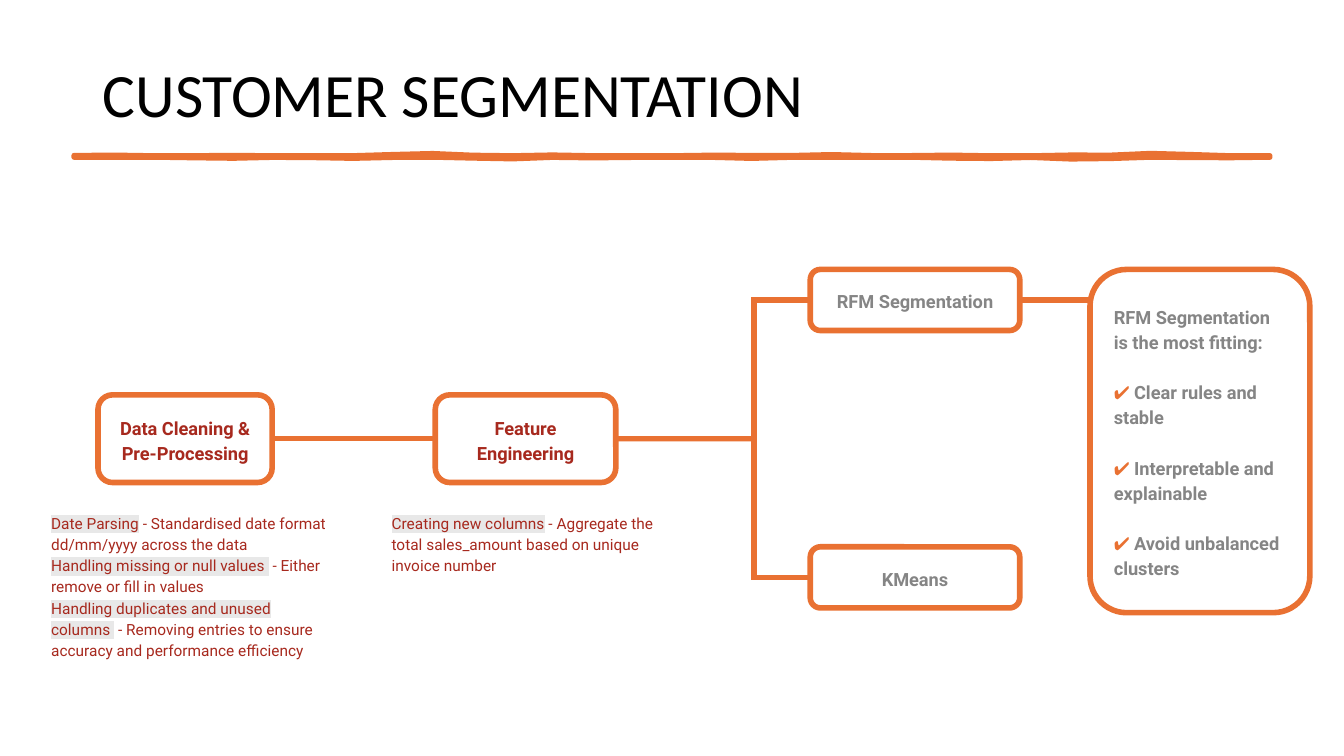
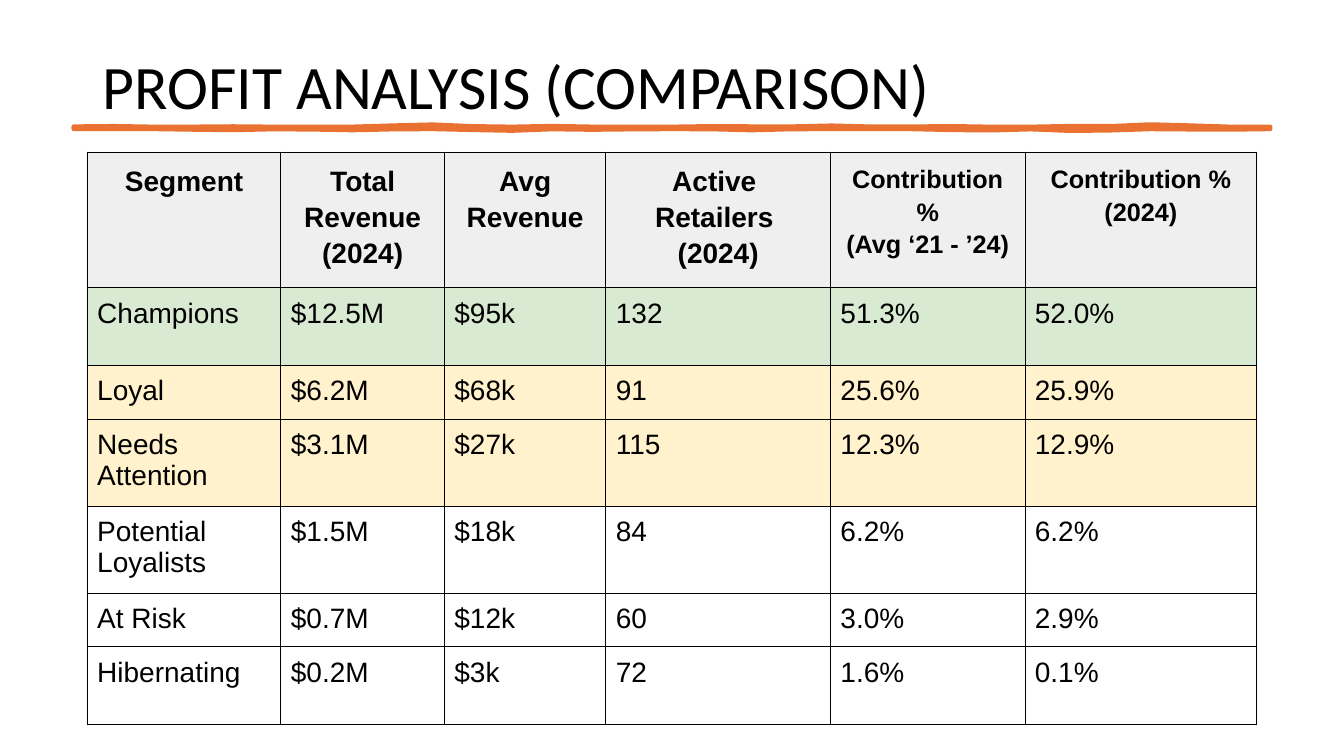
from math import exp
from lxml.etree import SubElement, Element
from pptx import Presentation
from pptx.dml.color import RGBColor
from pptx.enum.shapes import MSO_CONNECTOR, MSO_SHAPE
from pptx.enum.text import MSO_ANCHOR, PP_ALIGN
from pptx.oxml.ns import qn
from pptx.util import Cm, Pt

HEX = {
    "accent": "E97132", "ink": "000000", "red": "A7291E", "grey": "858585",
    "mark": "E8E8E8", "head": "EFEFEF", "green": "D9EAD3", "yellow": "FFF2CC",
}
PAD = 0.33

# Swells of the brush line: centre, spread, height (cm)
TOP = [(2.6, 0.7, -0.02), (5.8, 0.7, -0.01), (10.7, 1.0, -0.06),
       (14, 0.6, -0.02), (18.3, 0.7, -0.02), (20.9, 0.8, -0.03),
       (23.7, 0.6, -0.02), (27.4, 0.6, -0.03), (29.3, 0.8, -0.07)]
BASE = [(5.6, 0.9, 0.03), (8.8, 0.9, 0.03), (12.6, 0.8, 0.05),
        (15.2, 0.7, 0.02), (18.9, 0.7, 0.03), (24.6, 0.9, 0.04),
        (27.4, 0.8, 0.06), (30.6, 0.7, 0.02)]

HEADS = ("Segment", "Total Revenue\n(2024)", "Avg Revenue",
         "Active \vRetailers \n(2024)", "Contribution %\n(Avg ‘21 - ’24)",
         "Contribution % (2024)")
PLAIN = [
    ("Champions", "$12.5M", "$95k", "132", "51.3%", "52.0%"),
    ("Loyal", "$6.2M", "$68k", "91", "25.6%", "25.9%"),
    ("Needs Attention", "$3.1M", "$27k", "115", "12.3%", "12.9%"),
    ("Potential Loyalists", "$1.5M", "$18k", "84", "6.2%", "6.2%"),
    ("At Risk", "$0.7M", "$12k", "60", "3.0%", "2.9%"),
    ("Hibernating", "$0.2M", "$3k", "72", "1.6%", "0.1%"),
]
FILLS = ("head", "green", "yellow", "yellow", None, None, None)
WIDTHS = (4.88, 4.12, 4.07, 5.66, 4.9, 5.84)
HEIGHTS = (3.05, 1.96, 1.19, 1.96, 1.96, 1.19, 1.96)


def tint(name):
    return RGBColor.from_string(HEX[name])


def style(font, face, size, colour, bold=False):
    font.name, font.size, font.bold = face, Pt(size), bold
    font.color.rgb = tint(colour)


def shade(run, colour):
    """Highlight a run that already has its colour."""
    mark = Element(qn("a:highlight"))
    SubElement(mark, qn("a:srgbClr")).set("val", HEX[colour])
    run.font.fill._xPr.find(qn("a:solidFill")).addnext(mark)


def inset(frame, side, end):
    frame.word_wrap = True
    frame.margin_left = frame.margin_right = Cm(side)
    frame.margin_top = frame.margin_bottom = Cm(end)


def write(frame, paras, size, bold=False, align=PP_ALIGN.LEFT, gap=0):
    """Fill a frame; each paragraph is a list of (text, colour, highlight)."""
    inset(frame, PAD, PAD)
    for i, parts in enumerate(paras):
        para = frame.add_paragraph() if i else frame.paragraphs[0]
        para.alignment, para.line_spacing = align, 1.15
        if i and gap:
            para.space_before = Pt(gap)
        for text, colour, mark in parts:
            for j, line in enumerate(text.split("\v")):
                if j:
                    para.add_line_break()
                run = para.add_run()
                run.text = line
                style(run.font, "Roboto", size, colour, bold)
                if mark:
                    shade(run, mark)


def title(slide, text, size, x, y, w, h):
    frame = slide.shapes.add_textbox(Cm(x), Cm(y), Cm(w), Cm(h)).text_frame
    inset(frame, 0.25, 0.13)
    frame.vertical_anchor = MSO_ANCHOR.MIDDLE
    frame.text = text
    para = frame.paragraphs[0]
    para.line_spacing = 0.9
    style(para.runs[0].font, "Calibri", size, "ink")


def brush(slide, x, y, w, h):
    """Draw the uneven line under a title."""
    def edge(at, level, swells):
        rise = sum(k * exp(-((at - c) / s) ** 2) for c, s, k in swells)
        return Cm(at), Cm(level + rise)

    steps = 30
    marks = [x + w * i / steps for i in range(steps + 1)]
    upper = [edge(at, y, TOP) for at in marks]
    lower = [edge(at, y + h, BASE) for at in reversed(marks)]
    pen = slide.shapes.build_freeform(*upper[0])
    pen.add_line_segments(upper[1:] + lower, close=True)
    shape = pen.convert_to_shape()
    shape.shadow.inherit = False
    shape.fill.solid()
    shape.fill.fore_color.rgb = shape.line.color.rgb = tint("accent")
    shape.line.width = Pt(3.25)
    SubElement(shape.line._ln, qn("a:round"))


def box(slide, paras, x, y, w, h, **look):
    shape = slide.shapes.add_shape(
        MSO_SHAPE.ROUNDED_RECTANGLE, Cm(x), Cm(y), Cm(w), Cm(h))
    shape.shadow.inherit = False
    shape.fill.background()
    shape.line.color.rgb, shape.line.width = tint("accent"), Pt(4)
    shape.text_frame.vertical_anchor = MSO_ANCHOR.MIDDLE
    write(shape.text_frame, paras, 13, bold=True, **look)
    return shape


def link(slide, start, end, a=None, b=None):
    """Draw a line; a and b are shapes joined at their right and left sides."""
    line = slide.shapes.add_connector(
        MSO_CONNECTOR.STRAIGHT, *(Cm(v) for v in start + end))
    line.line.color.rgb, line.line.width = tint("accent"), Pt(3.75)
    SubElement(line._element.spPr, qn("a:effectLst"))
    if a is not None:
        line.begin_connect(a, 3)
    if b is not None:
        line.end_connect(b, 1)


def flow(slide, x, y, w):
    """Draw the steps, the two branches and the verdict."""
    def step(text, colour, left, mid, wide, high):
        return box(slide, [[(text, colour, None)]], x + left,
                   mid - high / 2, wide, high, align=PP_ALIGN.CENTER)

    wide, high = 5.28, 1.54
    fork, trunk = 19.45, x + 18.03
    upper = y + high / 2
    lower = upper + 6.99
    mid = (upper + lower) / 2
    clean = step("Data Cleaning & Pre-Processing", "red", 1.5, mid, 4.39, 2.21)
    build = step("Feature Engineering", "red", 10, mid, 4.55, 2.21)
    rfm = step("RFM Segmentation", "grey", fork, upper, wide, high)
    means = step("KMeans", "grey", fork, lower, wide, high)

    link(slide, (x + 5.89, mid), (x + 10, mid), clean, build)
    link(slide, (x + 14.55, mid), (trunk, mid), build)
    link(slide, (trunk, upper - 0.07), (trunk, lower + 0.07))
    for at, goal in ((upper, rfm), (lower, means)):
        link(slide, (trunk, at), (x + fork, at), b=goal)

    size = 5.54
    link(slide, (x + fork + wide, upper), (x + w - size, upper), rfm)
    gains = ("Clear rules and stable", "Interpretable and explainable",
             "Avoid unbalanced clusters")
    paras = [[("RFM Segmentation\vis the most fitting:", "grey", None)]]
    paras += [[("✔", "accent", None), (" " + gain, "grey", None)]
              for gain in gains]
    box(slide, paras, x + w - size, y, size, 8.65, gap=18)


def details(slide, items, x, y, w, h):
    frame = slide.shapes.add_textbox(Cm(x), Cm(y), Cm(w), Cm(h)).text_frame
    write(frame, [[(term, "red", "mark"), (" - " + text, "red", None)]
                  for term, text in items], 11)


def border(cell):
    props = cell._tc.get_or_add_tcPr()
    for i, side in enumerate(("lnL", "lnR", "lnT", "lnB")):
        line = Element(qn("a:" + side), w=str(Pt(0.75)))
        fill = SubElement(line, qn("a:solidFill"))
        SubElement(fill, qn("a:srgbClr")).set("val", HEX["ink"])
        props.insert(i, line)


def grid(slide, x, y):
    rows = [HEADS] + PLAIN
    table = slide.shapes.add_table(
        len(rows), len(HEADS), Cm(x), Cm(y),
        Cm(sum(WIDTHS)), Cm(sum(HEIGHTS))).table
    table.first_row = table.horz_banding = False
    for col, wide in zip(table.columns, WIDTHS):
        col.width = Cm(wide)
    for r, (row, texts) in enumerate(zip(table.rows, rows)):
        row.height = Cm(HEIGHTS[r])
        for c, (cell, text) in enumerate(zip(row.cells, texts)):
            cell.margin_left = cell.margin_right = Cm(0.25)
            cell.margin_top = cell.margin_bottom = Cm(0.25)
            if FILLS[r]:
                cell.fill.solid()
                cell.fill.fore_color.rgb = tint(FILLS[r])
            else:
                cell.fill.background()
            border(cell)
            cell.text_frame.text = text
            head = r == 0
            for para in cell.text_frame.paragraphs:
                if head:
                    para.alignment, para.line_spacing = PP_ALIGN.CENTER, 1.15
                for run in para.runs:
                    style(run.font, "Arial", 18 if head and c > 3 else 20,
                          "ink", head)


def page(deck, text, size, high, rule):
    """Add a slide with its title and brush line."""
    slide = deck.slides.add_slide(deck.slide_layouts[6])
    title(slide, text, size, 2.34, 1.02, 29.2, high)
    brush(slide, 1.86, rule, 30.15, 0.05)
    return slide


def main():
    deck = Presentation()
    deck.slide_width, deck.slide_height = Cm(33.87), Cm(19.05)

    slide = page(deck, "CUSTOMER SEGMENTATION", 44, 2.9, 3.92)
    flow(slide, 0.97, 6.79, 32.04)
    details(slide, [
        ("Date Parsing", "Standardised date format dd/mm/yyyy across the data"),
        ("Handling missing or null values ", "Either remove or fill in values"),
        ("Handling duplicates and unused columns ",
         "Removing entries to ensure accuracy and performance efficiency"),
    ], 0.96, 12.55, 7.77, 5.28)
    details(slide, [
        ("Creating new columns",
         "Aggregate the total sales_amount based on unique invoice number"),
    ], 9.54, 12.55, 7.77, 4.45)

    slide = page(deck, "PROFIT ANALYSIS (COMPARISON)", 44.1, 2.49, 3.2)
    grid(slide, 2.2, 3.83)
    deck.save("out.pptx")


if __name__ == "__main__":
    main()
